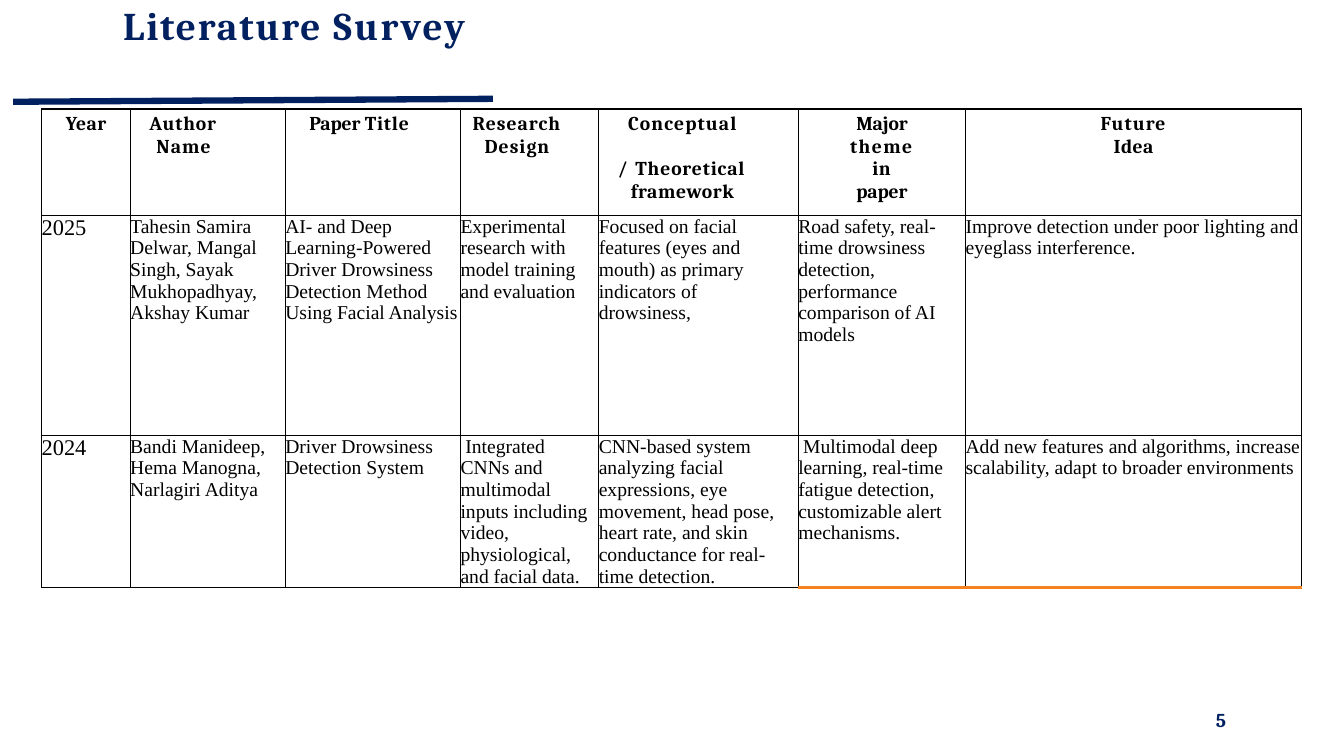
from dataclasses import dataclass

from lxml.etree import SubElement
from pptx import Presentation
from pptx.dml.color import RGBColor as RGB
from pptx.enum.shapes import MSO_CONNECTOR as Connector
from pptx.enum.text import MSO_ANCHOR as Anchor, PP_ALIGN as Align
from pptx.oxml import parse_xml
from pptx.oxml.ns import nsdecls, qn
from pptx.slide import Slide
from pptx.table import _Cell as Cell
from pptx.text.text import TextFrame
from pptx.util import Pt


@dataclass(frozen=True)
class Theme:
    navy: str = "002060"
    black: str = "000000"
    orange: str = "F48221"
    heading_font: str = "Cambria"
    body_font: str = "Times New Roman"
    title_size: float = 28
    year_size: float = 16
    text_size: float = 14
    grid_width: float = 1
    accent_width: float = 2.25
    rule_width: float = 4.5


@dataclass(frozen=True)
class Run:
    text: str
    tracking: float = 0


@dataclass(frozen=True)
class Line:
    """One paragraph; indents and spacing are in points."""
    runs: tuple[Run, ...]
    left: float = 0
    first: float = 0
    right: float = 0
    before: float = 2.4
    align: Align = Align.LEFT


@dataclass(frozen=True)
class Column:
    width: float
    heading: tuple[Line, ...]
    entry_right: float = 0


THEME = Theme()
TABLE_LEFT, TABLE_TOP = 29.8, 77.8
ROW_HEIGHTS = (76.2, 157.2, 108)
ACCENTED_COLUMNS = (5, 6)

COLUMNS = (
    Column(63.2, (Line((Run("Year", 0.3),), left=17.3),)),
    Column(110.8, (Line((Run("Author ", 0.6), Run("Name", 0.7)),
                        left=18.7, first=-5, right=18),)),
    Column(125.2, (Line((Run("Paper ", -0.1), Run("Title", 0.6)), left=20.9, first=-3.6),)),
    Column(98.8, (Line((Run("Research Design", 0.7),), left=17.3, first=-8.6),)),
    Column(142.5, (
        Line((Run("Conceptual", 0.8),), left=20.9),
        Line((Run("/ ", 1.2), Run("Theoretical ", 0.6), Run("framework", 0.4)),
             left=23, first=-9.4, before=16.4),
    ), entry_right=5),
    Column(119.5, (Line((Run("Major ", -0.1), Run("theme ", 1), Run("in ", 0.5),
                         Run("paper", -0.1)),
                        left=36.7, right=36.7, align=Align.CENTER),)),
    Column(240, (Line((Run("Future ", 0.7), Run("Idea", 0.3)),
                      left=81.4, right=81.4, align=Align.CENTER),)),
)

STUDIES = (
    ("2025",
     "Tahesin Samira Delwar, Mangal Singh, Sayak Mukhopadhyay, Akshay Kumar",
     "AI- and Deep Learning-Powered Driver Drowsiness Detection Method Using Facial Analysis",
     "Experimental research with model training and evaluation",
     "Focused on facial features (eyes and mouth) as primary indicators of drowsiness,",
     "Road safety, real-time drowsiness detection, performance comparison of AI models",
     "Improve detection under poor lighting and eyeglass interference."),
    ("2024",
     "Bandi Manideep, Hema Manogna, Narlagiri Aditya",
     "Driver Drowsiness Detection System",
     " Integrated CNNs and multimodal inputs including video, physiological, and facial data.",
     "CNN-based system analyzing facial expressions, eye movement, head pose, heart rate, "
     "and skin conductance for real-time detection.",
     " Multimodal deep learning, real-time fatigue detection, customizable alert mechanisms.",
     "Add new features and algorithms, increase scalability, adapt to broader environments"),
)


def write(frame: TextFrame, lines: tuple[Line, ...], *, size: float = THEME.text_size,
          font: str = THEME.heading_font, color: str = THEME.black, bold: bool = True,
          leading: float | None = None) -> None:
    frame.word_wrap = True
    for index, line in enumerate(lines):
        paragraph = frame.add_paragraph() if index else frame.paragraphs[0]
        paragraph.alignment = line.align
        paragraph.space_before = Pt(line.before)
        if leading:
            paragraph.line_spacing = Pt(leading)
        properties = paragraph._p.get_or_add_pPr()
        for name, indent in (("marL", line.left), ("marR", line.right), ("indent", line.first)):
            properties.set(name, str(Pt(indent)))
        for part in line.runs:
            run = paragraph.add_run()
            run.text = part.text
            run.font.size = Pt(size)
            run.font.name = font
            run.font.bold = bold
            run.font.color.rgb = RGB.from_string(color)
            run._r.get_or_add_rPr().set("spc", str(round(part.tracking * 100)))


def add_text(slide: Slide, left: float, top: float, width: float, height: float,
             line: Line, *, size: float, leading: float | None = None) -> None:
    frame = slide.shapes.add_textbox(Pt(left), Pt(top), Pt(width), Pt(height)).text_frame
    frame.margin_left = frame.margin_right = frame.margin_top = frame.margin_bottom = 0
    write(frame, (line,), size=size, color=THEME.navy, leading=leading)


def style_cell(cell: Cell, top_margin: float, accented: bool) -> None:
    cell.margin_left = cell.margin_right = cell.margin_bottom = 0
    cell.margin_top = Pt(top_margin)
    cell.vertical_anchor = Anchor.TOP
    cell.fill.background()
    for position, side in enumerate(("lnL", "lnR", "lnT", "lnB")):
        accent = accented and side == "lnB"
        width = THEME.accent_width if accent else THEME.grid_width
        color = THEME.orange if accent else THEME.black
        border = parse_xml(
            f'<a:{side} {nsdecls("a")} w="{Pt(width)}"><a:solidFill>'
            f'<a:srgbClr val="{color}"/></a:solidFill></a:{side}>')
        cell._tc.get_or_add_tcPr().insert(position, border)


def add_survey_table(slide: Slide) -> None:
    survey = slide.shapes.add_table(
        len(ROW_HEIGHTS), len(COLUMNS), Pt(TABLE_LEFT), Pt(TABLE_TOP),
        Pt(sum(column.width for column in COLUMNS)), Pt(sum(ROW_HEIGHTS))).table
    survey.first_row = survey.horz_banding = False
    for row, height in zip(survey.rows, ROW_HEIGHTS):
        row.height = Pt(height)
    for index, column in enumerate(COLUMNS):
        survey.columns[index].width = Pt(column.width)
        heading = survey.cell(0, index)
        style_cell(heading, top_margin=2.8, accented=False)
        write(heading.text_frame, column.heading)
        for number, study in enumerate(STUDIES, start=1):
            entry = survey.cell(number, index)
            style_cell(entry, top_margin=0,
                       accented=number == len(STUDIES) and index in ACCENTED_COLUMNS)
            write(entry.text_frame,
                  (Line((Run(study[index]),), right=column.entry_right, before=0),),
                  size=THEME.text_size if index else THEME.year_size,
                  font=THEME.body_font, bold=False)


def add_title_rule(slide: Slide) -> None:
    rule = slide.shapes.add_connector(
        Connector.STRAIGHT, Pt(9.4), Pt(72.7), Pt(352.1), Pt(70.6))
    rule.line.color.rgb = RGB.from_string(THEME.navy)
    rule.line.width = Pt(THEME.rule_width)
    SubElement(rule._element.spPr, qn("a:effectLst"))


def main() -> None:
    deck = Presentation()
    deck.slide_width, deck.slide_height = Pt(960), Pt(540)
    slide = deck.slides.add_slide(deck.slide_layouts[6])
    add_survey_table(slide)
    add_title_rule(slide)
    add_text(slide, 87.1, 4.3, 697, 30.3,
             Line((Run("Literature ", 1.4), Run("Survey", 1.8)), left=0.9, before=0),
             size=THEME.title_size, leading=30.2)
    add_text(slide, 867.6, 505.4, 23.8, 18.7,
             Line((Run("5", 0.7),), left=0.9, before=0.1), size=THEME.text_size)
    deck.save("out.pptx")


if __name__ == "__main__":
    main()
